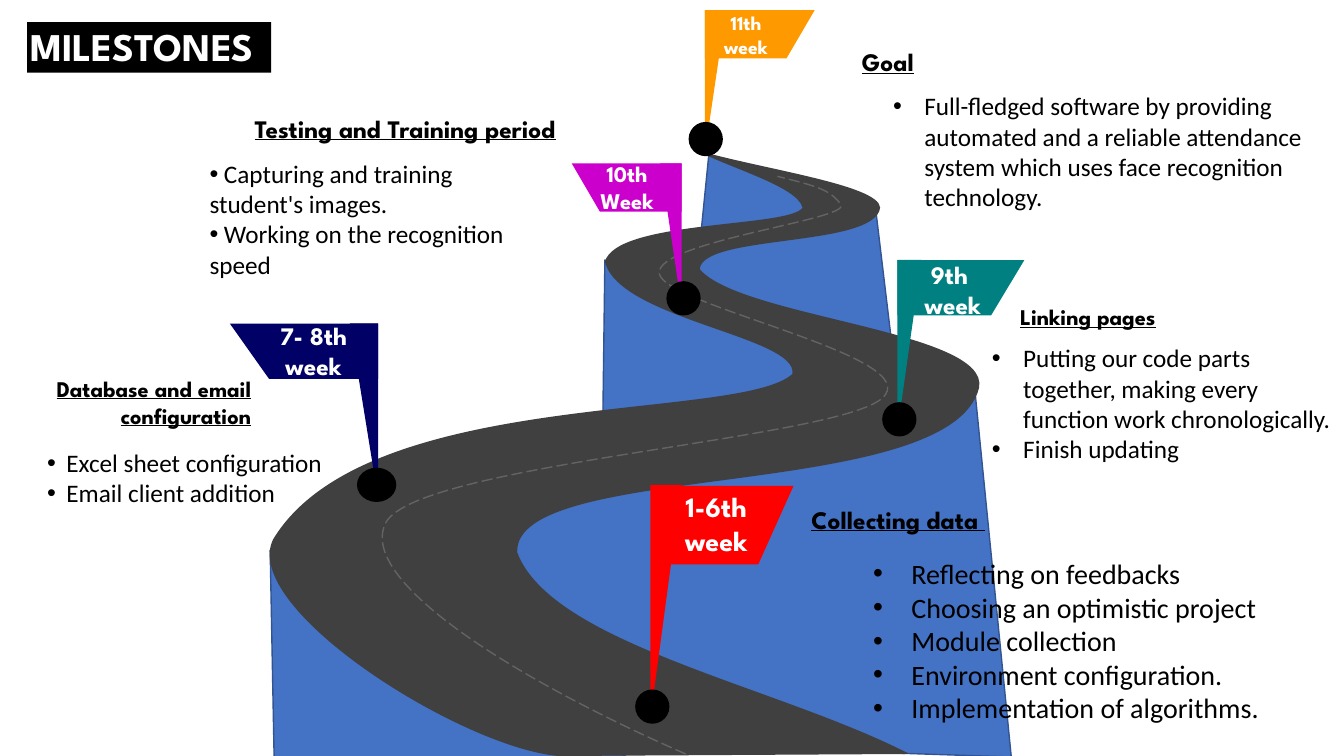
from lxml import etree
from pptx import Presentation
from pptx.dml.color import RGBColor
from pptx.enum.dml import MSO_LINE
from pptx.enum.shapes import MSO_SHAPE
from pptx.enum.text import MSO_ANCHOR, MSO_AUTO_SIZE, PP_ALIGN
from pptx.oxml.ns import qn
from pptx.util import Pt

PX = 9144  # EMU per px, 100 px to the inch
LEFT, CENTER, RIGHT, JUSTIFY = PP_ALIGN.LEFT, PP_ALIGN.CENTER, PP_ALIGN.RIGHT, PP_ALIGN.JUSTIFY
RECTANGLE, OVAL, POLE = MSO_SHAPE.RECTANGLE, MSO_SHAPE.OVAL, MSO_SHAPE.RIGHT_TRIANGLE
DASH = MSO_LINE.LONG_DASH
TOP = MSO_ANCHOR.TOP
GROW = MSO_AUTO_SIZE.SHAPE_TO_FIT_TEXT
HEAD_FONT, LIST_FONT = "League Spartan", "Calibri"
BLACK, WHITE = "000000", "FFFFFF"
WALL, WALL_EDGE, ASPHALT = "4472C4", "325491", "404040"

TITLE = "MILESTONES"
TITLE_BOX = (20, 17, 458, 57)
TITLE_BAR = (27, 22, 242, 50)

WALLS = [
    [(268, 546), (272, 754), (622, 751), (392, 626)],
    [(703, 154), (695, 234), (800, 226), (825, 211), (788, 185)],
    [(868, 203), (885, 345), (709, 302), (655, 263), (705, 235),
     (792, 220), (854, 211)],
    [(600, 258), (598, 411), (809, 391), (812, 346), (669, 282)],
    [(966, 378), (1003, 751), (734, 742), (462, 532), (655, 463)],
]

# A start point, then two control points and an end point for each curve
ROAD_BOX = (267, 148, 704, 602)
ROAD = [
    (554, 750),
    (458, 742), (237, 603), (271, 535),
    (363, 383), (733, 419), (786, 371),
    (792, 334), (615, 317), (600, 260),
    (610, 218), (784, 226), (796, 206),
    (791, 185), (724, 167), (688, 148),
    (750, 167), (872, 183), (873, 206),
    (868, 246), (697, 232), (694, 267),
    (734, 315), (983, 328), (971, 385),
    (942, 499), (509, 456), (513, 548),
    (547, 639), (772, 681), (902, 748),
]
LANE_BOX = (379, 175, 502, 573)
LANE = [
    (680, 748),
    (522, 679), (351, 577), (383, 518),
    (416, 460), (830, 436), (875, 395),
    (921, 354), (661, 304), (654, 272),
    (647, 240), (845, 218), (834, 203),
    (823, 188), (811, 185), (771, 175),
]

# Banner: tip x, pole x, notch x, top, bottom
FLAGS = [
    dict(lines=["11th week"], size=14, color="FF9900", pole=(699, 10, 21, 142),
         banner=(808, 699, 780, 10, 58), dot=(683, 121, 34, 34), label=(696, 6, 88, 57)),
    dict(lines=["10th", "Week"], size=16, color="CC00CC", pole=(655, 162, 21, 142),
         banner=(567, 676, 595, 162, 210), dot=(661, 279, 34, 34), label=(578, 154, 88, 64)),
    dict(lines=["9th ", "week"], size=18, color="008080", pole=(890, 258, 24, 170),
         banner=(1016, 890, 983, 258, 313), dot=(875, 399, 34, 34), label=(901, 252, 88, 71)),
    dict(lines=["7- 8th", "week"], size=18, color="000066", pole=(347, 321, 28, 173),
         banner=(228, 375, 267, 321, 376), dot=(354, 464, 39, 34), label=(260, 313, 102, 72)),
    dict(lines=["1-6th week"], size=20, color="FF0000", pole=(645, 481, 31, 232),
         banner=(787, 652, 752, 482, 560), dot=(630, 684, 34, 34), label=(652, 481, 117, 77)),
]

# Text, box, size, alignment
HEADINGS = [
    ("Collecting data ", (795, 495, 335, 40), 18, LEFT),
    ("Linking pages", (1002, 296, 227, 37), 16, LEFT),
    ("Goal", (845, 41, 151, 40), 18, LEFT),
    ("Database and email configuration", (-82, 367, 341, 64), 16, RIGHT),
    ("Testing and Training period", (192, 107, 369, 71), 18, RIGHT),
]

# Items, box, size, alignment, indent; the first list fills the body placeholder
LISTS = [
    (["Reflecting on feedbacks", "Choosing an optimistic project", "Module collection",
      "Environment configuration.", "Implementation of algorithms."],
     (856, 547, 463, 179), 20, JUSTIFY, 38),
    (["Putting our code parts together, making every function work chronologically.",
      "Finish updating"], (974, 335, 368, 131), 18, LEFT, 31),
    (["Full-fledged software by providing automated and a reliable attendance system "
      "which uses face recognition technology."], (876, 85, 451, 132), 18, LEFT, 31),
    (["Excel sheet configuration", "Email client addition"],
     (37, 439, 315, 71), 18, JUSTIFY, 19),
    ([" Capturing and training student's images.", " Working on the recognition speed"],
     (198, 152, 350, 131), 18, LEFT, 0),
]


def rgb(color):
    return RGBColor.from_string(color)


def emu(lengths):
    return [length * PX for length in lengths]


def set_box(shape, box):
    shape.left, shape.top, shape.width, shape.height = emu(box)


def paint(shape, fill=None, line=None, width=1):
    shape.shadow.inherit = False
    if fill:
        shape.fill.solid()
        shape.fill.fore_color.rgb = rgb(fill)
    else:
        shape.fill.background()
    if line:
        shape.line.color.rgb = rgb(line)
        shape.line.width = Pt(width)
    else:
        shape.line.fill.background()
    return shape


def add_outline(shapes, points, closed=True):
    builder = shapes.build_freeform(*points[0], scale=PX)
    builder.add_line_segments(points[1:], close=closed)
    return builder.convert_to_shape()


def add_curved(shapes, points, box, closed=True):
    """Add an outline of cubic curves whose drawn extent is the box."""
    shape = add_outline(shapes, points, closed)
    set_box(shape, box)
    outline = shape._element.spPr.find(".//" + qn("a:path"))
    left, top, width, height = box
    outline.set("w", str(width))
    outline.set("h", str(height))
    for mark, (x, y) in zip(outline.iter(qn("a:pt")), points):
        mark.set("x", str(x - left))
        mark.set("y", str(y - top))
    segments = outline.findall(qn("a:lnTo"))[:len(points) - 1]
    for first in range(0, len(segments), 3):
        curve = etree.Element(qn("a:cubicBezTo"))
        segments[first].addprevious(curve)
        for segment in segments[first:first + 3]:
            curve.append(segment[0])
            outline.remove(segment)
    return shape


def write(holder, lines, align, font, indent=None):
    """Fill a text holder; an indent, even of 0, makes the lines bulleted."""
    frame = holder.text_frame
    for name, value in dict(word_wrap=True, auto_size=GROW, vertical_anchor=TOP).items():
        setattr(frame, name, value)
    color = font.pop("color")
    for number, line in enumerate(lines):
        paragraph = frame.add_paragraph() if number else frame.paragraphs[0]
        paragraph.alignment = align
        paragraph.space_before = Pt(0)
        if indent is not None:
            props = paragraph._p.get_or_add_pPr()
            props.set("marL", str(indent * PX))
            props.set("indent", str(-indent * PX))
            etree.SubElement(props, qn("a:buFont")).set("typeface", "Arial")
            etree.SubElement(props, qn("a:buChar")).set("char", "•")
        run = paragraph.add_run()
        run.text = line
        for name, value in font.items():
            setattr(run.font, name, value)
        run.font.color.rgb = rgb(color)


def head_style(size, color, underline=None):
    return dict(name=HEAD_FONT, size=Pt(size), bold=True, underline=underline, color=color)


def place_in_front(shapes, placeholder, box):
    set_box(placeholder, box)
    shapes._spTree.append(placeholder._element)
    return placeholder


def add_flag(shapes, flag):
    parts = shapes.add_group_shape().shapes
    tip, mast, notch, top, bottom = flag["banner"]
    pole = paint(parts.add_shape(POLE, *emu(flag["pole"])), flag["color"])
    xfrm = pole._element.spPr.find(qn("a:xfrm"))
    xfrm.set("flipV", "1")
    if tip < mast:
        xfrm.set("flipH", "1")
    corners = [(tip, top), (mast, top), (mast, bottom), (notch, bottom)]
    paint(add_outline(parts, corners), flag["color"])
    paint(parts.add_shape(OVAL, *emu(flag["dot"])), BLACK)
    label = parts.add_textbox(*emu(flag["label"]))
    write(label, flag["lines"], CENTER, head_style(flag["size"], WHITE))


def main():
    deck = Presentation()
    deck.slide_width, deck.slide_height = emu((1333, 750))
    slide = deck.slides.add_slide(deck.slide_layouts[1])
    shapes = slide.shapes
    title, body = shapes.title, slide.placeholders[1]

    for wall in WALLS:
        paint(add_outline(shapes, wall), WALL, WALL_EDGE)
    paint(add_curved(shapes, ROAD, ROAD_BOX), ASPHALT)
    lane = paint(add_curved(shapes, LANE, LANE_BOX, False), line=WHITE)
    lane.line.dash_style = DASH
    lane_color = lane._element.spPr.find(qn("a:ln")).find(".//" + qn("a:srgbClr"))
    etree.SubElement(lane_color, qn("a:alpha")).set("val", "18000")

    for flag in FLAGS:
        add_flag(shapes, flag)
    for text, box, size, align in HEADINGS:
        write(shapes.add_textbox(*emu(box)), [text], align, head_style(size, BLACK, True))
    for number, (items, box, size, align, indent) in enumerate(LISTS):
        holder = shapes.add_textbox(*emu(box)) if number else place_in_front(shapes, body, box)
        write(holder, items, align, dict(name=LIST_FONT, size=Pt(size), color=BLACK), indent)

    paint(shapes.add_shape(RECTANGLE, *emu(TITLE_BAR)), BLACK)
    write(place_in_front(shapes, title, TITLE_BOX), [TITLE], LEFT, head_style(28, WHITE))
    deck.save("out.pptx")


if __name__ == "__main__":
    main()
